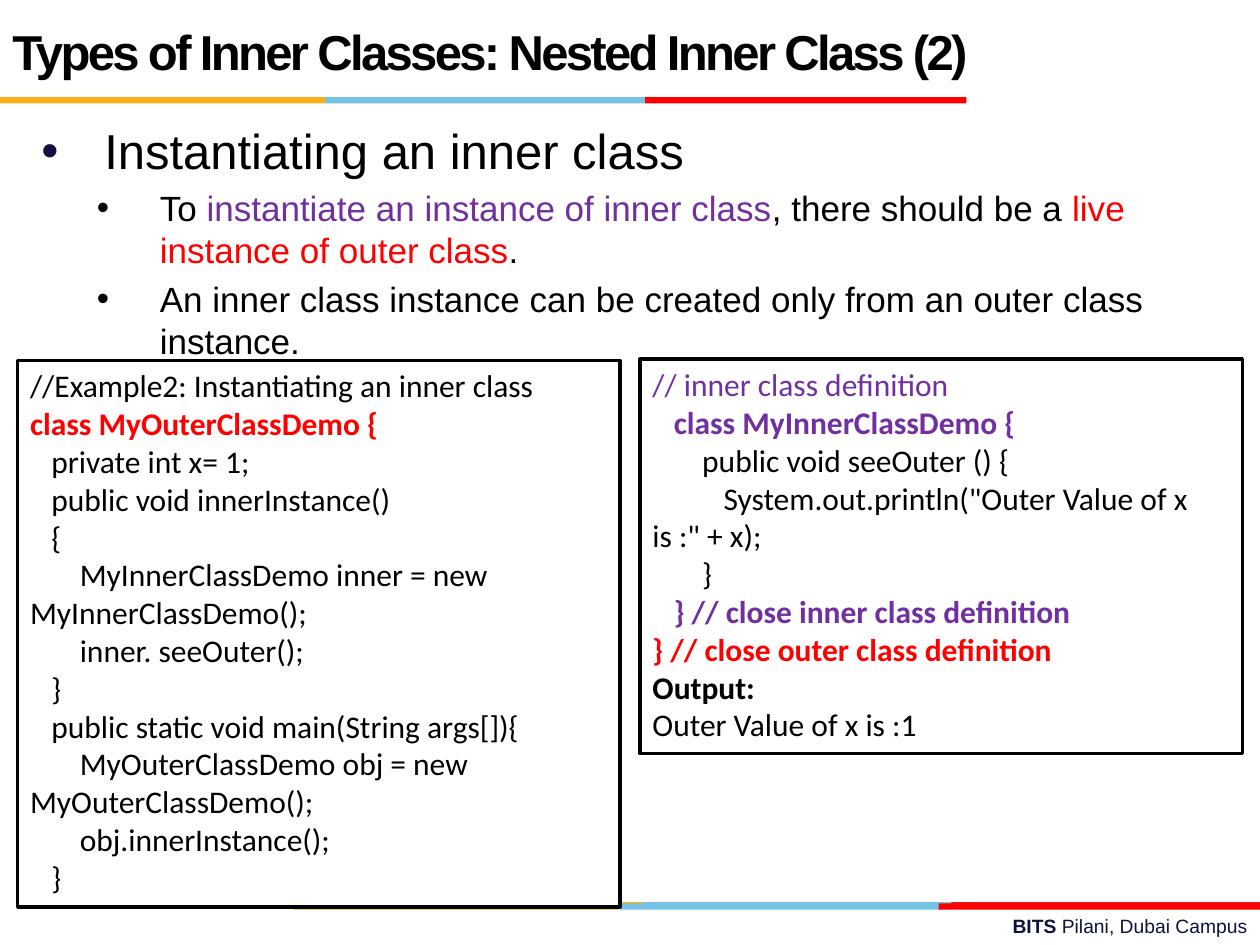
import pptx
import pptx.dml.color
import pptx.enum.shapes
import pptx.enum.text
import pptx.oxml
import pptx.oxml.ns
import pptx.util
from pptx.util import Inches, Pt

BLACK, RED, PURPLE, NAVY = "000000", "FF0000", "7030A0", "101141"
GOLD, SKY, CRIMSON = "FCB017", "76C2E5", "E31C24"
ALIGN = pptx.enum.text.PP_ALIGN
RECT = pptx.enum.shapes.MSO_SHAPE.RECTANGLE


def tint(code):
    return pptx.dml.color.RGBColor.from_string(code)


class Deck:
    def __init__(self, wide, high):
        self.prs = pptx.Presentation()
        self.prs.slide_width, self.prs.slide_height = Inches(wide), Inches(high)
        self.slide = self.prs.slides.add_slide(self.prs.slide_layouts[6])

    def style(self, font, size=None, color=None, bold=None, face=None):
        if size:
            font.size = Pt(size)
        if face:
            font.name = face
        if color:
            font.color.rgb = tint(color)
        if bold is not None:
            font.bold = bold

    def label(self, para, runs, size, face):
        """Each run is (text, colour, bold)."""
        colors = {run[1] for run in runs}
        bolds = {run[2] for run in runs}
        self.style(para.font, size, runs[0][1] if len(colors) == 1 else None,
                   runs[0][2] if len(bolds) == 1 else None, face)
        for text, color, bold in runs:
            run = para.add_run()
            run.text = text
            self.style(run.font, color=color if len(colors) > 1 else None,
                       bold=bold if len(bolds) > 1 else None)

    def text(self, x, y, w, h):
        frame = self.slide.shapes.add_textbox(
            Inches(x), Inches(y), Inches(w), Inches(h)).text_frame
        frame.word_wrap = True
        return frame

    def rect(self, x, y, w, h, fill, line=None):
        shape = self.slide.shapes.add_shape(
            RECT, Inches(x), Inches(y), Inches(w), Inches(h))
        shape.shadow.inherit = False
        shape.fill.solid()
        shape.fill.fore_color.rgb = tint(fill)
        if line:
            shape.line.color.rgb = tint(line)
            shape.line.width = Pt(2)
        else:
            shape.line.fill.background()
        return shape

    def bars(self, y, parts):
        for x, w, color in parts:
            self.rect(x, y, w, 0.05, color)

    def bullet(self, para, left, color):
        props = para._p.get_or_add_pPr()
        props.set("marL", str(Inches(left)))
        props.set("indent", str(Inches(-0.5)))
        space = pptx.oxml.ns.nsdecls("a")
        for xml in (f'<a:buClr {space}><a:srgbClr val="{color}"/></a:buClr>',
                    f'<a:buFont {space} typeface="Arial"/>',
                    f'<a:buChar {space} char="•"/>'):
            props.append(pptx.oxml.parse_xml(xml))

    def code(self, x, y, w, h, lines):
        frame = self.rect(x, y, w, h, "FFFFFF", BLACK).text_frame
        frame.word_wrap = True
        frame.auto_size = pptx.enum.text.MSO_AUTO_SIZE.SHAPE_TO_FIT_TEXT
        frame.vertical_anchor = pptx.enum.text.MSO_ANCHOR.TOP
        for i, line in enumerate(lines):
            para = frame.add_paragraph() if i else frame.paragraphs[0]
            para.alignment = ALIGN.LEFT
            self.label(para, [line], 18, "Calibri")


def plain(block):
    return [(line, BLACK, False) for line in block.strip("\n").split("\n")]


deck = Deck(10, 7.5)

# Footer
foot = deck.text(3.58, 7.21, 6.42, 0.29).paragraphs[0]
foot.alignment = ALIGN.RIGHT
deck.label(foot, [("BITS ", NAVY, True),
                  ("Pilani, Dubai Campus", NAVY, False)], 11, "Arial")

# Colour bars
deck.bars(7.16, [(5.06, 2.55, SKY), (7.55, 2.45, CRIMSON), (2.28, 2.82, GOLD)])
deck.bars(7.17, [(4.92, 2.55, SKY), (2.33, 2.58, GOLD), (7.45, 2.55, RED)])
deck.bars(0.77, [(2.58, 2.55, SKY), (0, 2.58, GOLD), (5.12, 2.55, RED)])

# Bullets
body = deck.text(0.23, 0.86, 9.6, 6.24)
body.margin_top = Inches(0.1)
points = [
    (28, 0.5, NAVY, [("Instantiating an inner class", BLACK, False)]),
    (20, 0.94, BLACK, [
        ("To ", BLACK, False),
        ("instantiate an instance of inner class", PURPLE, False),
        (", there should be a ", BLACK, False),
        ("live instance of outer class", RED, False),
        (".", BLACK, False)]),
    (20, 0.94, BLACK, [("An inner class instance can be created only from "
                        "an outer class instance.", BLACK, False)]),
]
for i, (size, left, color, runs) in enumerate(points):
    para = body.add_paragraph() if i else body.paragraphs[0]
    if i:
        para.level = 1
        para.space_before = Pt(4)
    deck.bullet(para, left, color)
    deck.label(para, runs, size, "Arial")

# Title
head = deck.text(0, 0.19, 7.83, 0.4)
head.vertical_anchor = pptx.enum.text.MSO_ANCHOR.MIDDLE
title = head.paragraphs[0]
title.line_spacing = Pt(36)
deck.label(title, [("Types of Inner Classes: Nested Inner Class (2)",
                    BLACK, True)], 28, "Arial")
title.runs[0]._r.get_or_add_rPr().set("spc", "-150")

# Outer class code
outer = plain("""
//Example2: Instantiating an inner class
class MyOuterClassDemo {
   private int x= 1;
   public void innerInstance()
   {
       MyInnerClassDemo inner = new MyInnerClassDemo();
       inner. seeOuter();
   }
   public static void main(String args[]){
       MyOuterClassDemo obj = new MyOuterClassDemo();
       obj.innerInstance();
   }
""")
outer[1] = (outer[1][0], RED, True)
deck.code(0.14, 2.86, 4.78, 4.34, outer)

# Inner class code and output
inner = plain("""
// inner class definition
   class MyInnerClassDemo {
       public void seeOuter () {
          System.out.println("Outer Value of x is :" + x);
       }
   } // close inner class definition
} // close outer class definition
Output:
Outer Value of x is :1
""")
for row, color, bold in [(0, PURPLE, False), (1, PURPLE, True),
                         (5, PURPLE, True), (6, RED, True), (7, BLACK, True)]:
    inner[row] = (inner[row][0], color, bold)
deck.code(5.08, 2.85, 4.78, 3.13, inner)

deck.prs.save("out.pptx")
